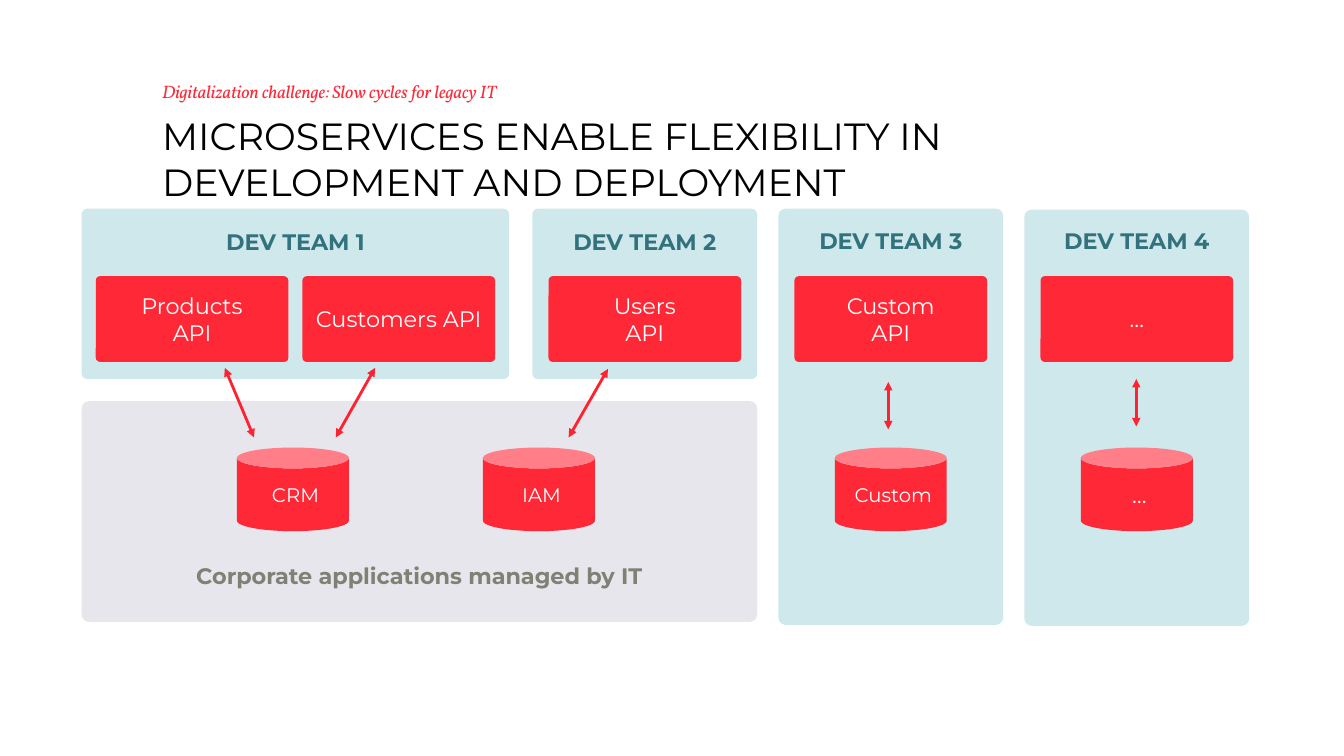
from dataclasses import dataclass

from lxml.etree import SubElement
from pptx import Presentation
from pptx.dml.color import RGBColor
from pptx.enum.shapes import MSO_CONNECTOR as Conn, MSO_SHAPE as Shape
from pptx.enum.text import MSO_ANCHOR as Anchor, PP_ALIGN as Align
from pptx.oxml.ns import qn
from pptx.util import Emu, Pt

PX = 9144  # 100 px to the inch


@dataclass(frozen=True)
class Theme:
    red: str = "FF2837"
    arrow: str = "FF2231"
    team: str = "CFE8EC"
    corporate: str = "E6E6EC"
    team_text: str = "31727D"
    corporate_text: str = "808074"
    black: str = "000000"
    white: str = "FFFFFF"
    sans: str = "Montserrat"
    serif: str = "Vollkorn"
    title: float = 27
    subtitle: float = 12.9
    body: float = 16
    store: float = 14


@dataclass(frozen=True)
class Box:
    x: int
    y: int
    w: int
    h: int


@dataclass(frozen=True)
class Team:
    label: str
    panel: Box
    inset: int
    label_y: int
    apis: tuple[str, ...]


@dataclass(frozen=True)
class Store:
    label: str
    x: int
    size: float


@dataclass(frozen=True)
class Arrow:
    x1: int
    y1: int
    x2: int
    y2: int


T = Theme()
API_W, API_H, API_Y, API_STEP = 191, 85, 274, 205
CORPORATE = Box(81, 398, 670, 219)
TEAMS = (
    Team("DEV TEAM 1", Box(81, 207, 424, 169), 14, 221, ("Products\nAPI", "Customers API")),
    Team("DEV TEAM 2", Box(528, 207, 223, 169), 16, 221, ("Users\nAPI",)),
    Team("DEV TEAM 3", Box(772, 207, 223, 413), 16, 220, ("Custom\nAPI",)),
    Team("DEV TEAM 4", Box(1016, 208, 223, 413), 16, 220, ("…",)),
)
STORES = (
    Store("CRM", 235, T.store),
    Store("IAM", 479, T.store),
    Store("Custom", 828, T.store),
    Store("…", 1072, T.body),
)
ARROWS = (
    Arrow(223, 365, 252, 434),
    Arrow(372, 365, 333, 434),
    Arrow(603, 366, 564, 434),
    Arrow(881, 379, 881, 426),
    Arrow(1127, 376, 1127, 423),
)


def emu(*px: int) -> list[Emu]:
    return [Emu(v * PX) for v in px]


def write(sp, text: str, color: str, size: float, align=Align.CENTER,
          anchor=Anchor.TOP, font: str = T.sans, **style) -> None:
    tf = sp.text_frame
    tf.word_wrap = True
    tf.vertical_anchor = anchor
    fmt = {"name": font, "size": Pt(size), **style}
    for i, line in enumerate(text.split("\n")):
        p = tf.add_paragraph() if i else tf.paragraphs[0]
        p.alignment = align
        r = p.add_run()
        r.text = line
        r.font.color.rgb = RGBColor.from_string(color)
        for key, value in fmt.items():
            setattr(r.font, key, value)


def add_text(s, box: Box, text: str, color: str, size: float, **style) -> None:
    sp = s.shapes.add_textbox(*emu(box.x, box.y, box.w, box.h))
    write(sp, text, color, size, **style)


def add_block(s, kind: Shape, box: Box, fill: str, adj: float | None = None):
    sp = s.shapes.add_shape(kind, *emu(box.x, box.y, box.w, box.h))
    sp.shadow.inherit = False
    sp.fill.solid()
    sp.fill.fore_color.rgb = RGBColor.from_string(fill)
    sp.line.fill.background()
    if adj is not None:
        sp.adjustments[0] = adj
    return sp


def add_team(s, team: Team) -> None:
    panel = team.panel
    add_block(s, Shape.ROUNDED_RECTANGLE, panel, T.team, 0.033)
    left = panel.x + team.inset
    label = Box(left, team.label_y, panel.w - 2 * team.inset, 37)
    add_text(s, label, team.label, T.team_text, T.body, bold=True)
    for i, api in enumerate(team.apis):
        box = Box(left + i * API_STEP, API_Y, API_W, API_H)
        sp = add_block(s, Shape.ROUNDED_RECTANGLE, box, T.red, 0.049)
        write(sp, api, T.white, T.body, anchor=Anchor.MIDDLE)


def add_store(s, store: Store) -> None:
    sp = add_block(s, Shape.CAN, Box(store.x, 444, 111, 83), T.red)
    write(sp, store.label, T.white, store.size, anchor=Anchor.MIDDLE)
    sp.text_frame.margin_left = Emu(15 * PX)


def add_arrow(s, a: Arrow) -> None:
    cx = s.shapes.add_connector(Conn.STRAIGHT, *emu(a.x1, a.y1, a.x2, a.y2))
    cx.line.color.rgb = RGBColor.from_string(T.arrow)
    cx.line.width = Pt(2)
    ln = cx.line._get_or_add_ln()
    for end in ("a:headEnd", "a:tailEnd"):
        SubElement(ln, qn(end), type="triangle")
    SubElement(cx._element.spPr, qn("a:effectLst"))


def main() -> None:
    prs = Presentation()
    prs.slide_width, prs.slide_height = emu(1333, 750)
    s = prs.slides.add_slide(prs.slide_layouts[6])

    # Heading
    add_text(s, Box(151, 107, 1056, 98),
             "MICROSERVICES ENABLE FLEXIBILITY IN DEVELOPMENT AND DEPLOYMENT",
             T.black, T.title, align=Align.LEFT)
    add_text(s, Box(151, 78, 1056, 28),
             "Digitalization challenge: Slow cycles for legacy IT",
             T.red, T.subtitle, align=Align.LEFT, anchor=Anchor.BOTTOM,
             font=T.serif, italic=True)

    # Corporate area
    add_block(s, Shape.ROUNDED_RECTANGLE, CORPORATE, T.corporate, 0.033)
    add_text(s, Box(CORPORATE.x, 553, CORPORATE.w, 37),
             "Corporate applications managed by IT",
             T.corporate_text, T.body, bold=True)

    # Teams, data stores and the links between them
    for team in TEAMS:
        add_team(s, team)
    for store in STORES:
        add_store(s, store)
    for arrow in ARROWS:
        add_arrow(s, arrow)

    prs.save("out.pptx")


if __name__ == "__main__":
    main()
